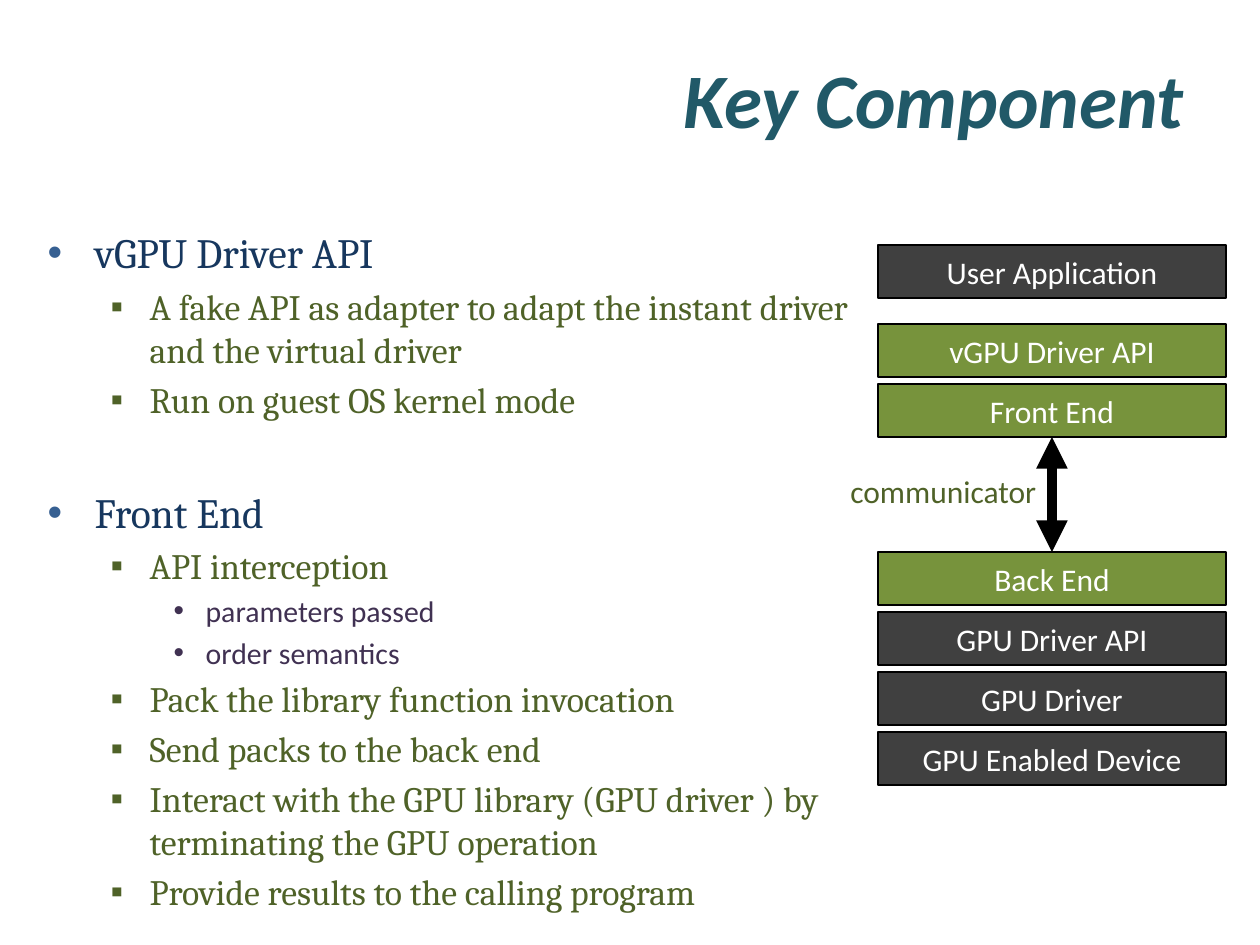
from lxml import etree
from pptx import Presentation
from pptx.dml.color import RGBColor
from pptx.enum.shapes import MSO_CONNECTOR, MSO_SHAPE
from pptx.enum.text import MSO_ANCHOR, MSO_AUTO_SIZE, PP_ALIGN
from pptx.oxml.ns import qn
from pptx.util import Pt

RECTANGLE = MSO_SHAPE.RECTANGLE
STRAIGHT = MSO_CONNECTOR.STRAIGHT
MIDDLE, TOP = MSO_ANCHOR.MIDDLE, MSO_ANCHOR.TOP
CENTER, LEFT, RIGHT = PP_ALIGN.CENTER, PP_ALIGN.LEFT, PP_ALIGN.RIGHT
NO_AUTOFIT = MSO_AUTO_SIZE.NONE

EMU_PER_PX = 914400 / 126
SLIDE_SIZE = (1260, 945)

DARK, GREEN = "404040", "77933C"
BLACK, WHITE, OLIVE = "000000", "FFFFFF", "4F6228"

LEVELS = [
    {"indent": 47, "hang": 47, "bullet": "•", "bullet_color": "376092",
     "size": 23.8, "font": "Cambria", "color": "17375E"},
    {"indent": 102, "hang": 39, "bullet": "▪", "bullet_color": OLIVE,
     "size": 20.4, "font": "Cambria", "color": OLIVE},
    {"indent": 158, "hang": 32, "bullet": "•", "bullet_color": "403152",
     "size": 17, "font": "Calibri", "color": "403152"},
]
SECTION_GAP = 38

OUTLINE = [
    (0, "vGPU Driver API"),
    (1, "A fake API as adapter to adapt the instant driver and the virtual driver"),
    (1, "Run on guest OS kernel mode"),
    (0, "Front End"),
    (1, "API interception"),
    (2, "parameters passed"),
    (2, "order semantics"),
    (1, "Pack the library function invocation"),
    (1, "Send packs to the back end"),
    (1, "Interact with the GPU library (GPU driver ) by terminating the GPU operation"),
    (1, "Provide results to the calling program"),
]

LAYER_LEFT, LAYER_WIDTH, LAYER_HEIGHT, LAYER_PITCH = 878, 348, 53, 60
GUEST_TOP, HOST_TOP = 324, 552
STACKS = [
    (245, [("User Application", DARK)]),
    (GUEST_TOP, [("vGPU Driver API", GREEN), ("Front End", GREEN)]),
    (HOST_TOP, [("Back End", GREEN), ("GPU Driver API", DARK),
                ("GPU Driver", DARK), ("GPU Enabled Device", DARK)]),
]


def px(*lengths):
    return [round(length * EMU_PER_PX) for length in lengths]


def rgb(color):
    return RGBColor.from_string(color)


def place(shape, *box):
    shape.left, shape.top, shape.width, shape.height = px(*box)


def format_runs(paragraph, size, font, color):
    for run in paragraph.runs:
        run.font.size = Pt(size)
        run.font.name = font
        run.font.color.rgb = rgb(color)


def set_text(shape, text, size, color, align, anchor, wrap):
    frame = shape.text_frame
    frame.text = text
    frame.word_wrap = wrap
    frame.auto_size = NO_AUTOFIT
    frame.vertical_anchor = anchor
    paragraph = frame.paragraphs[0]
    paragraph.alignment = align
    format_runs(paragraph, size, "Calibri", color)
    return paragraph


def add_bullet(paragraph, level):
    props = paragraph._p.get_or_add_pPr()
    indent, hang = px(level["indent"], level["hang"])
    props.set("marL", str(indent))
    props.set("indent", str(-hang))
    bullet_color = etree.SubElement(props, qn("a:buClr"))
    etree.SubElement(bullet_color, qn("a:srgbClr"), val=level["bullet_color"])
    etree.SubElement(props, qn("a:buFont"), typeface="Arial")
    etree.SubElement(props, qn("a:buChar"), char=level["bullet"])


def fill_title(title):
    place(title, 63, 38, 1134, 120)
    heading = set_text(title, "Key Component", 44, "215968", RIGHT, MIDDLE, True)
    heading.runs[0].font.bold = True
    heading.runs[0].font.italic = True


def fill_outline(body):
    place(body, 35, 221, 835, 624)
    frame = body.text_frame
    frame.auto_size = NO_AUTOFIT
    frame.text = "\n".join(text for _, text in OUTLINE)
    for index, (paragraph, (depth, _)) in enumerate(zip(frame.paragraphs, OUTLINE)):
        level = LEVELS[depth]
        paragraph.level = depth
        add_bullet(paragraph, level)
        gap = SECTION_GAP if depth == 0 else level["size"] * 0.2
        paragraph.space_before = Pt(gap if index else 0)
        format_runs(paragraph, level["size"], level["font"], level["color"])


def add_layer(diagram, text, fill, top):
    layer = diagram.shapes.add_shape(
        RECTANGLE, *px(LAYER_LEFT, top, LAYER_WIDTH, LAYER_HEIGHT))
    layer.shadow.inherit = False
    layer.fill.solid()
    layer.fill.fore_color.rgb = rgb(fill)
    layer.line.color.rgb = rgb(BLACK)
    layer.line.width = Pt(0.75)
    set_text(layer, text, 18, WHITE, CENTER, MIDDLE, False)


def add_double_arrow(diagram, x, top, bottom):
    arrow = diagram.shapes.add_connector(STRAIGHT, *px(x, top, x, bottom))
    arrow.line.color.rgb = rgb(BLACK)
    arrow.line.width = Pt(6)
    outline = arrow.line._get_or_add_ln()
    for end in ("a:headEnd", "a:tailEnd"):
        etree.SubElement(outline, qn(end), type="triangle")
    etree.SubElement(arrow._element.spPr, qn("a:effectLst"))


def add_label(diagram, text, *box):
    label = diagram.shapes.add_textbox(*px(*box))
    set_text(label, text, 18, OLIVE, LEFT, TOP, True)


def add_diagram(slide):
    diagram = slide.shapes.add_group_shape()
    for stack_top, layers in STACKS:
        for row, (text, fill) in enumerate(layers):
            add_layer(diagram, text, fill, stack_top + row * LAYER_PITCH)
    front_end_bottom = GUEST_TOP + LAYER_PITCH + LAYER_HEIGHT
    add_double_arrow(diagram, LAYER_LEFT + LAYER_WIDTH // 2, front_end_bottom, HOST_TOP)
    add_label(diagram, "communicator", 838, 466, 290, 57)


def main():
    deck = Presentation()
    deck.slide_width, deck.slide_height = px(*SLIDE_SIZE)
    slide = deck.slides.add_slide(deck.slide_layouts[1])
    fill_title(slide.shapes.title)
    fill_outline(slide.placeholders[1])
    add_diagram(slide)
    deck.save("out.pptx")


if __name__ == "__main__":
    main()
